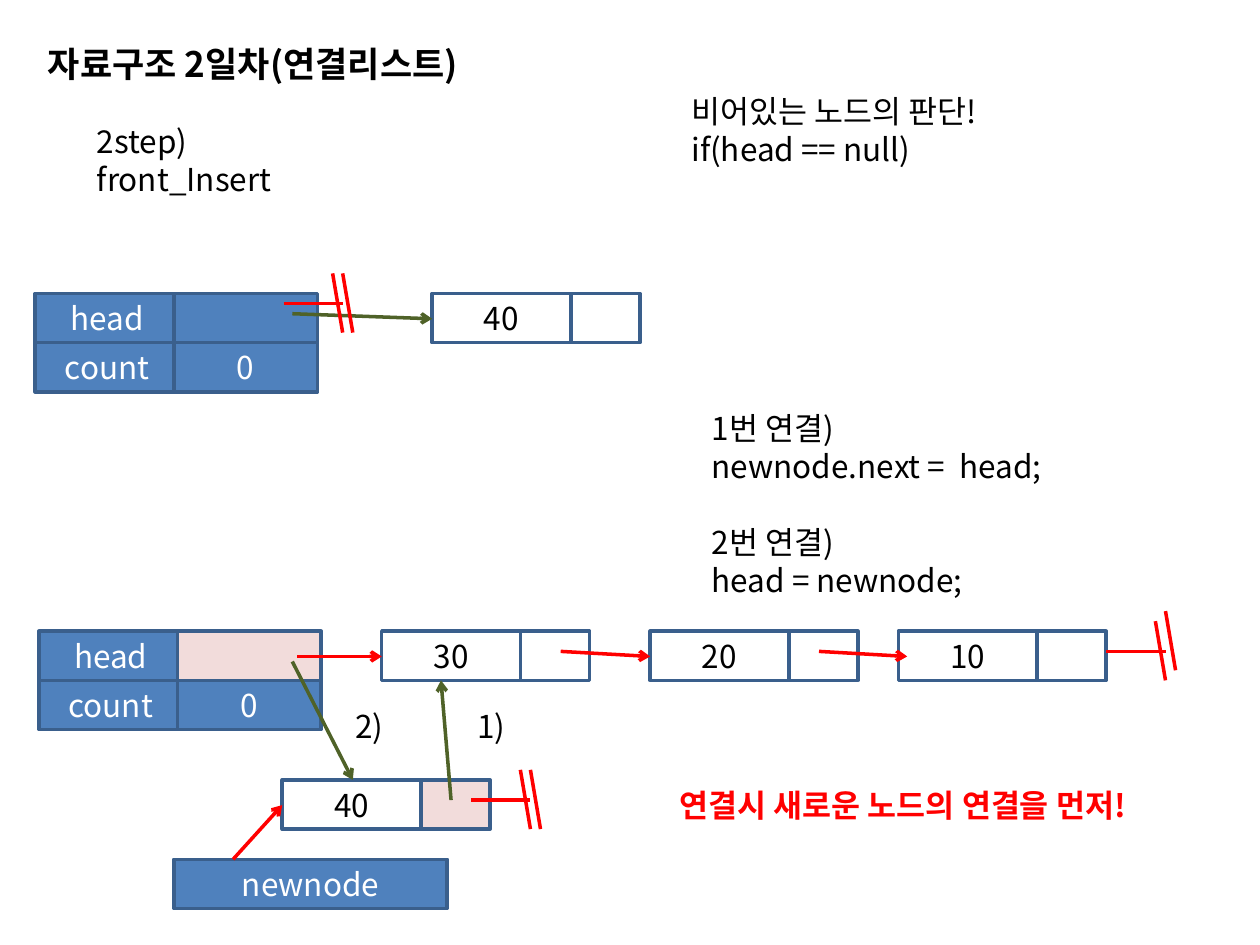
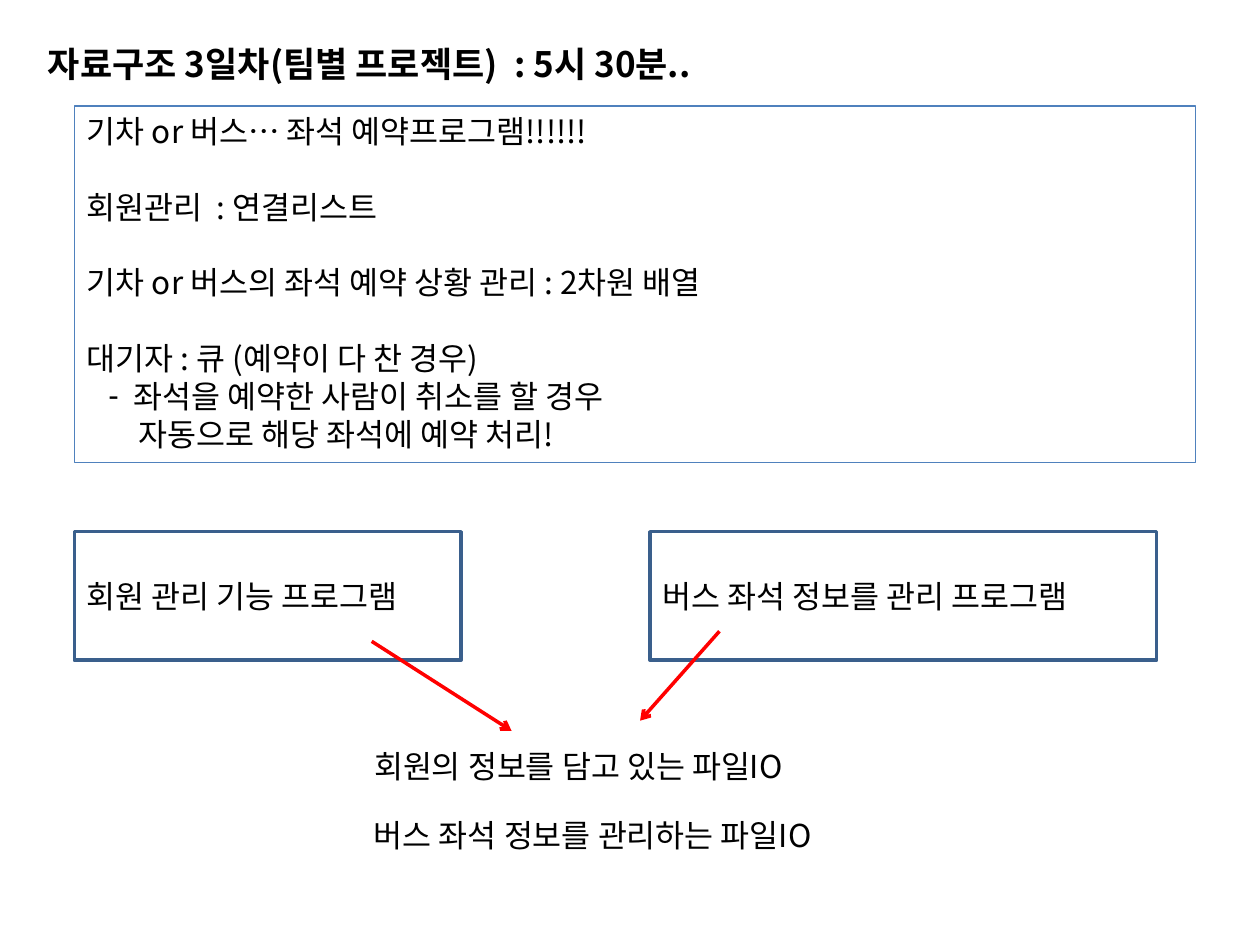
from lxml import etree
from pptx import Presentation
from pptx.dml.color import RGBColor
from pptx.enum.shapes import MSO_CONNECTOR, MSO_SHAPE
from pptx.enum.text import MSO_ANCHOR, MSO_AUTO_SIZE, PP_ALIGN
from pptx.oxml.ns import qn
from pptx.util import Inches, Pt

RECTANGLE = MSO_SHAPE.RECTANGLE
STRAIGHT = MSO_CONNECTOR.STRAIGHT
TOP, MIDDLE = MSO_ANCHOR.TOP, MSO_ANCHOR.MIDDLE
LEFT, CENTER = PP_ALIGN.LEFT, PP_ALIGN.CENTER
NO_AUTOFIT = MSO_AUTO_SIZE.NONE
FONT = "Noto Sans CJK KR"
COLORS = {
    "black": "000000",
    "white": "FFFFFF",
    "blue": "4F81BD",
    "border": "3A5F8C",
    "pink": "F2DCDB",
    "red": "FF0000",
    "green": "4F6228",
}
ROW_HEIGHT = 0.39
HEAD_WIDTH = 1.14
DATA_WIDTH, LINK_WIDTH = 1.1, 0.55
BLANK_LINE = Pt(21.6)


def color(name):
    return RGBColor.from_string(COLORS[name])


def write_text(shape, text, ink="black", align=LEFT, anchor=TOP, size=18, bold=False):
    frame = shape.text_frame
    frame.text = text
    frame.word_wrap = True
    frame.auto_size = NO_AUTOFIT
    frame.vertical_anchor = anchor
    for paragraph in frame.paragraphs:
        paragraph.alignment = align
        paragraph.space_before = Pt(0)
        for run in paragraph.runs:
            run.font.size = Pt(size)
            run.font.bold = bold
            run.font.color.rgb = color(ink)
            run.font.name = FONT
            etree.SubElement(run.font._element, qn("a:ea"), typeface=FONT)
    return frame


presentation = Presentation()
presentation.slide_width = Inches(10)
presentation.slide_height = Inches(7.5)
list_slide = presentation.slides.add_slide(presentation.slide_layouts[5])
project_slide = presentation.slides.add_slide(presentation.slide_layouts[1])

titles = [
    (list_slide, "자료구조 2일차(연결리스트)"),
    (project_slide, "자료구조 3일차(팀별 프로젝트)  : 5시 30분.."),
]
for slide, text in titles:
    title = slide.shapes.title
    title.left, title.top = Inches(0.28), Inches(0.29)
    title.width, title.height = Inches(6.54), Inches(0.44)
    write_text(title, text, size=20, bold=True)

plan = project_slide.placeholders[1]
plan.left, plan.top = Inches(0.59), Inches(0.84)
plan.width, plan.height = Inches(8.9), Inches(2.83)
plan.line.color.rgb = color("blue")
plan.line.width = Pt(0.75)
plan_lines = [
    ("기차 or 버스… 좌석 예약프로그램!!!!!!", 0, 0, None),
    ("회원관리  : 연결리스트", BLANK_LINE, 0, None),
    ("기차 or 버스의 좌석 예약 상황 관리 : 2차원 배열", BLANK_LINE, 0, None),
    ("대기자 : 큐 (예약이 다 찬 경우)", BLANK_LINE, 0, None),
    ("좌석을 예약한 사람이 취소를 할 경우", 0, 0.37, "-"),
    ("자동으로 해당 좌석에 예약 처리!", 0, 0.41, None),
]
plan_frame = write_text(plan, "\n".join(line[0] for line in plan_lines))
for paragraph, (_, space, margin, bullet) in zip(plan_frame.paragraphs, plan_lines):
    paragraph.space_before = space
    properties = paragraph._p.get_or_add_pPr()
    properties.set("marL", str(Inches(margin)))
    properties.set("indent", str(Inches(-0.2 if bullet else 0)))
    if bullet:
        etree.SubElement(properties, qn("a:buChar"), char=bullet)
    else:
        etree.SubElement(properties, qn("a:buNone"))

boxes = []
for left, top, head_fill in [(0.28, 2.33, "blue"), (0.31, 5.01, "pink")]:
    for row, (label, value, fill) in enumerate(
        [("head", "", head_fill), ("count", "0", "blue")]
    ):
        row_top = top + row * ROW_HEIGHT
        boxes += [
            (list_slide, left, row_top, HEAD_WIDTH, ROW_HEIGHT, label, "blue", CENTER),
            (list_slide, left + 1.1, row_top, HEAD_WIDTH, ROW_HEIGHT, value, fill, CENTER),
        ]
nodes = [
    (3.43, 2.33, "40", None),
    (3.03, 5.01, "30", None),
    (5.16, 5.01, "20", None),
    (7.13, 5.01, "10", None),
    (2.24, 6.19, "40", "pink"),
]
for left, top, value, link_fill in nodes:
    link_left = left + DATA_WIDTH
    boxes += [
        (list_slide, left, top, DATA_WIDTH, ROW_HEIGHT, value, None, CENTER),
        (list_slide, link_left, top, LINK_WIDTH, ROW_HEIGHT, "", link_fill, CENTER),
    ]
boxes += [
    (list_slide, 1.38, 6.82, 2.17, ROW_HEIGHT, "newnode", "blue", CENTER),
    (project_slide, 0.59, 4.22, 3.07, 1.02, "회원 관리 기능 프로그램", None, LEFT),
    (project_slide, 5.16, 4.22, 4.02, 1.02, "버스 좌석 정보를 관리 프로그램", None, LEFT),
]
for slide, left, top, width, height, text, fill, align in boxes:
    box = slide.shapes.add_shape(
        RECTANGLE, Inches(left), Inches(top), Inches(width), Inches(height)
    )
    box.shadow.inherit = False
    box.line.color.rgb = color("border")
    box.line.width = Pt(2)
    if fill:
        box.fill.solid()
        box.fill.fore_color.rgb = color(fill)
    else:
        box.fill.background()
    if text:
        write_text(box, text, "white" if fill else "black", align, MIDDLE)

lines = [
    (list_slide, 4.45, 5.17, 5.16, 5.21, "red", True),
    (list_slide, 2.36, 5.21, 3.03, 5.21, "red", True),
    (list_slide, 6.5, 5.17, 7.2, 5.21, "red", True),
    (list_slide, 2.32, 2.49, 3.43, 2.53, "green", True),
    (list_slide, 2.32, 5.25, 2.8, 6.19, "green", True),
    (list_slide, 3.58, 6.35, 3.5, 5.4, "green", True),
    (list_slide, 1.85, 6.82, 2.24, 6.39, "red", True),
    (project_slide, 2.95, 5.09, 4.06, 5.8, "red", True),
    (project_slide, 5.71, 5.01, 5.08, 5.72, "red", True),
]
for x, y, rise in [(2.72, 2.41, 0), (9.25, 5.17, 0.08), (4.21, 6.35, 0)]:
    lines.append((list_slide, x - 0.47, y, x, y, "red", False))
    for start, lift in [(x - 0.08, 0), (x, rise)]:
        top = y - 0.24 - lift
        lines.append((list_slide, start, top, start + 0.08, top + 0.47, "red", False))
for slide, x1, y1, x2, y2, ink, has_arrow in lines:
    connector = slide.shapes.add_connector(
        STRAIGHT, Inches(x1), Inches(y1), Inches(x2), Inches(y2)
    )
    connector.line.color.rgb = color(ink)
    connector.line.width = Pt(2)
    properties = connector._element.spPr
    if has_arrow:
        etree.SubElement(properties.find(qn("a:ln")), qn("a:tailEnd"), type="arrow")
    etree.SubElement(properties, qn("a:effectLst"))

labels = [
    (list_slide, 0.67, 0.92, 2.29, 0.4, "2step) front_Insert", "black", LEFT),
    (list_slide, 5.08, 6.19, 4.17, 0.4, "연결시 새로운 노드의 연결을 먼저!", "red", CENTER),
    (list_slide, 3.69, 5.56, 0.42, 0.4, "1)", "black", CENTER),
    (list_slide, 2.72, 5.56, 0.42, 0.4, "2)", "black", CENTER),
    (list_slide, 5.39, 0.68, 2.73, 0.71, "비어있는 노드의 판단!\nif(head == null)", "black", LEFT),
    (list_slide, 5.55, 3.2, 2.95, 1.92,
     "1번 연결)\nnewnode.next =  head;\n2번 연결)\nhead = newnode;", "black", LEFT),
    (project_slide, 2.87, 5.88, 3.85, 0.4, "회원의 정보를 담고 있는 파일IO", "black", LEFT),
    (project_slide, 2.87, 6.43, 4.1, 0.4, "버스 좌석 정보를 관리하는 파일IO", "black", LEFT),
]
for slide, left, top, width, height, text, ink, align in labels:
    label = slide.shapes.add_textbox(
        Inches(left), Inches(top), Inches(width), Inches(height)
    )
    frame = write_text(label, text, ink, align, bold=ink == "red")
    for paragraph in frame.paragraphs[1:]:
        if paragraph.text.startswith("2번"):
            paragraph.space_before = BLANK_LINE

presentation.save("out.pptx")
